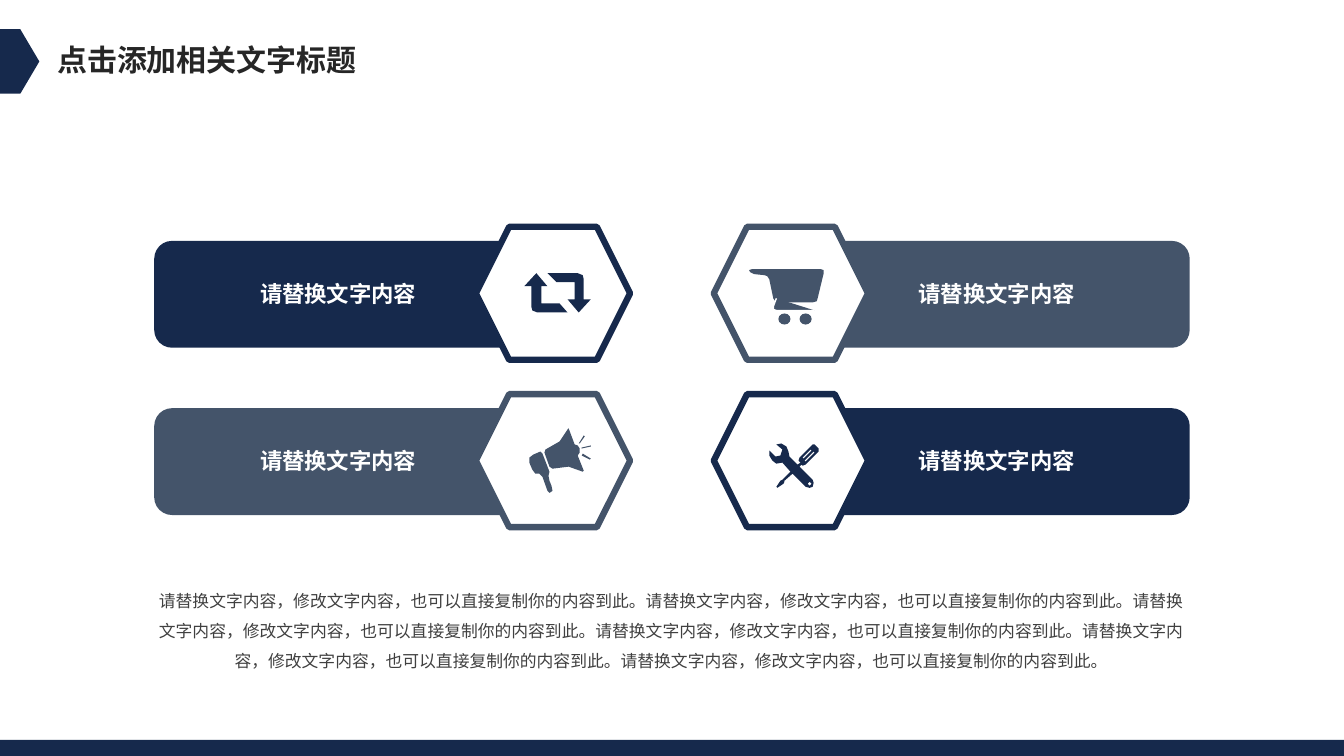
from lxml.etree import SubElement
from pptx import Presentation
from pptx.dml.color import RGBColor
from pptx.enum.shapes import MSO_SHAPE as Preset
from pptx.enum.text import PP_ALIGN as Align
from pptx.oxml.ns import qn
from pptx.util import Inches, Pt

COLORS = {"navy": "16294C", "slate": "44546A", "white": "FFFFFF",
          "title": "262626", "body": "404040"}
FONT = "Noto Sans CJK SC"
HEX_W, HEX_H = 1.53, 1.32
CARD_W, CARD_H = 4.72, HEX_H
BAR_W, BAR_H = 4.2, 1.06
LABEL_W, LABEL_H = 2.31, 0.27

REPEAT = [
    [(107, 72), (107, 52), (106, 48), (101, 46), (71, 46), (80, 55), (98, 55),
     (98, 72), (91, 72), (102, 85), (114, 72)],
    [(65, 76), (65, 59), (71, 59), (60, 46), (48, 59), (55, 59), (55, 79),
     (56, 83), (61, 85), (91, 85), (83, 76)],
]
BASKET = [(98, 75), (102, 74), (103, 71), (109, 46), (109, 43), (106, 42),
          (38, 42), (35, 43), (36, 45), (40, 47), (50, 48), (53, 49), (55, 52),
          (59, 71), (61, 74), (65, 75)]
TRAY = [(62, 71), (59, 79), (59, 82), (62, 83), (100, 83)]
MEGAPHONE = [
    [(72, 81), (73, 77), (66, 59), (64, 57), (57, 60), (53, 63), (53, 68),
     (56, 75), (59, 79), (63, 79), (66, 82), (71, 96), (73, 98), (76, 96),
     (75, 91), (73, 86)],
    [(101, 61), (103, 58), (103, 54), (101, 51), (98, 50), (92, 34), (91, 35),
     (83, 47), (69, 55), (68, 58), (73, 72), (76, 74), (92, 72), (106, 77),
     (107, 76)],
    [(108, 42), (107, 41), (102, 49), (103, 49)],
    [(105, 61), (113, 65), (114, 64), (106, 59)],
    [(105, 54), (114, 52), (114, 51), (105, 53)],
]
TOOLS = [
    [(104, 54), (100, 50), (98, 50), (96, 52), (85, 63), (84, 66), (86, 68),
     (83, 70), (75, 62), (74, 57), (72, 52), (67, 49), (62, 50), (68, 55),
     (66, 61), (61, 62), (55, 56), (55, 61), (58, 66), (62, 69), (68, 68),
     (76, 77), (68, 85), (66, 86), (62, 92), (63, 93), (69, 89), (70, 87),
     (70, 86), (78, 79), (91, 92), (95, 93), (98, 92), (99, 88), (98, 85),
     (85, 72), (87, 70), (88, 71), (91, 70), (103, 58), (104, 57)],
    [(95, 87), (97, 89), (95, 91), (93, 89)],
    [(89, 64), (88, 63), (96, 55), (97, 56)],
    [(91, 67), (90, 66), (99, 57), (100, 58)],
]


def rgb(color):
    """Look a colour up by its name."""
    return RGBColor.from_string(COLORS[color])


def paint(shape, fill, line=None, width=0):
    """Give a shape a flat fill and an optional outline."""
    shape.shadow.inherit = False
    shape.fill.solid()
    shape.fill.fore_color.rgb = rgb(fill)
    if line:
        shape.line.color.rgb = rgb(line)
        shape.line.width = Pt(width)
    else:
        shape.line.fill.background()


def add_preset(slide, preset, box, fill, line=None, width=0):
    """Add a painted preset shape."""
    shape = slide.shapes.add_shape(preset, *map(Inches, box))
    paint(shape, fill, line, width)
    return shape


def add_outline(slide, left, top, contours, fill, line=None, width=0, close=True):
    """Draw contours given in hundredths of an inch from left and top."""
    first, *others = contours
    builder = slide.shapes.build_freeform(*first[0], scale=Inches(0.01))
    builder.add_line_segments(first[1:], close=close)
    for contour in others:
        builder.move_to(*contour[0])
        builder.add_line_segments(contour[1:], close=close)
    paint(builder.convert_to_shape(Inches(left), Inches(top)), fill, line, width)


def add_text(slide, box, text, size, color, bold=False, align=Align.LEFT,
             wrap=True, inset=True, spacing=None):
    """Add a text box holding one paragraph."""
    frame = slide.shapes.add_textbox(*map(Inches, box)).text_frame
    frame.word_wrap = wrap
    if not inset:
        frame.margin_left = frame.margin_right = 0
        frame.margin_top = frame.margin_bottom = 0
    paragraph = frame.paragraphs[0]
    paragraph.alignment = align
    if spacing:
        paragraph.line_spacing = spacing
    run = paragraph.add_run()
    run.text = text
    run.font.size = Pt(size)
    run.font.bold = bold
    run.font.color.rgb = rgb(color)
    run.font.name = FONT
    SubElement(run._r.get_or_add_rPr(), qn("a:ea")).set("typeface", FONT)


def draw_repeat(slide, left, top, color):
    """Draw the two circling arrows."""
    add_outline(slide, left, top, REPEAT, color)


def draw_cart(slide, left, top, color):
    """Draw the shopping cart."""
    add_outline(slide, left, top, [BASKET], color)
    for wheel_left in (0.64, 0.85):
        add_preset(slide, Preset.OVAL, (left + wheel_left, top + 0.86, 0.12, 0.11), color)
    add_outline(slide, left, top, [TRAY], color, "white", 1, close=False)


def draw_megaphone(slide, left, top, color):
    """Draw the megaphone with its sound rays."""
    add_outline(slide, left, top, MEGAPHONE, color)


def draw_tools(slide, left, top, color):
    """Draw the crossed wrench and screwdriver."""
    add_outline(slide, left, top, TOOLS, color)


def add_card(slide, left, top, hex_on_right, color, draw_icon):
    """Add a labelled bar with an icon hexagon at its inner end."""
    bar_left = left if hex_on_right else left + CARD_W - BAR_W
    hex_left = left + CARD_W - HEX_W if hex_on_right else left
    label_left = left + (0.29 if hex_on_right else 2.03)
    add_preset(slide, Preset.ROUNDED_RECTANGLE,
               (bar_left, top + 0.14, BAR_W, BAR_H), color)
    add_preset(slide, Preset.HEXAGON, (hex_left, top, HEX_W, HEX_H),
               "white", color, 4.5)
    draw_icon(slide, hex_left, top, color)
    add_text(slide, (label_left, top + 0.53, LABEL_W, LABEL_H), "请替换文字内容",
             16, "white", bold=True, inset=False,
             align=Align.RIGHT if hex_on_right else Align.LEFT)


def add_cards(slide, left, top):
    """Lay the four cards out in two mirrored columns."""
    cards = [("navy", draw_repeat), ("slate", draw_cart),
             ("slate", draw_megaphone), ("navy", draw_tools)]
    for index, (color, draw_icon) in enumerate(cards):
        row, column = divmod(index, 2)
        add_card(slide, left + column * (CARD_W + 0.83), top + row * (CARD_H + 0.34),
                 column == 0, color, draw_icon)


def add_header(slide, left, top):
    """Add the title and its pointed marker."""
    marker = add_preset(slide, Preset.PENTAGON, (left, top, 0.39, 0.64), "navy")
    marker.adjustments[0] = 0.484
    add_text(slide, (left + 0.47, top + 0.07, 3.2, 0.46), "点击添加相关文字标题",
             21.4, "title", bold=True, wrap=False)


def add_description(slide, box):
    """Add the centred paragraph below the cards."""
    sentence = "请替换文字内容，修改文字内容，也可以直接复制你的内容到此。"
    add_text(slide, box, sentence * 6, 12, "body", align=Align.CENTER, spacing=1.5)


def main():
    """Build and save the slide."""
    deck = Presentation()
    deck.slide_width, deck.slide_height = Inches(13.33), Inches(7.5)
    slide = deck.slides.add_slide(deck.slide_layouts[6])
    add_cards(slide, 1.53, 2.25)
    add_description(slide, (1.41, 5.71, 10.5, 1.01))
    add_header(slide, 0, 0.29)
    add_preset(slide, Preset.RECTANGLE, (0, 7.34, 13.33, 0.16), "navy")
    deck.save("out.pptx")


if __name__ == "__main__":
    main()
